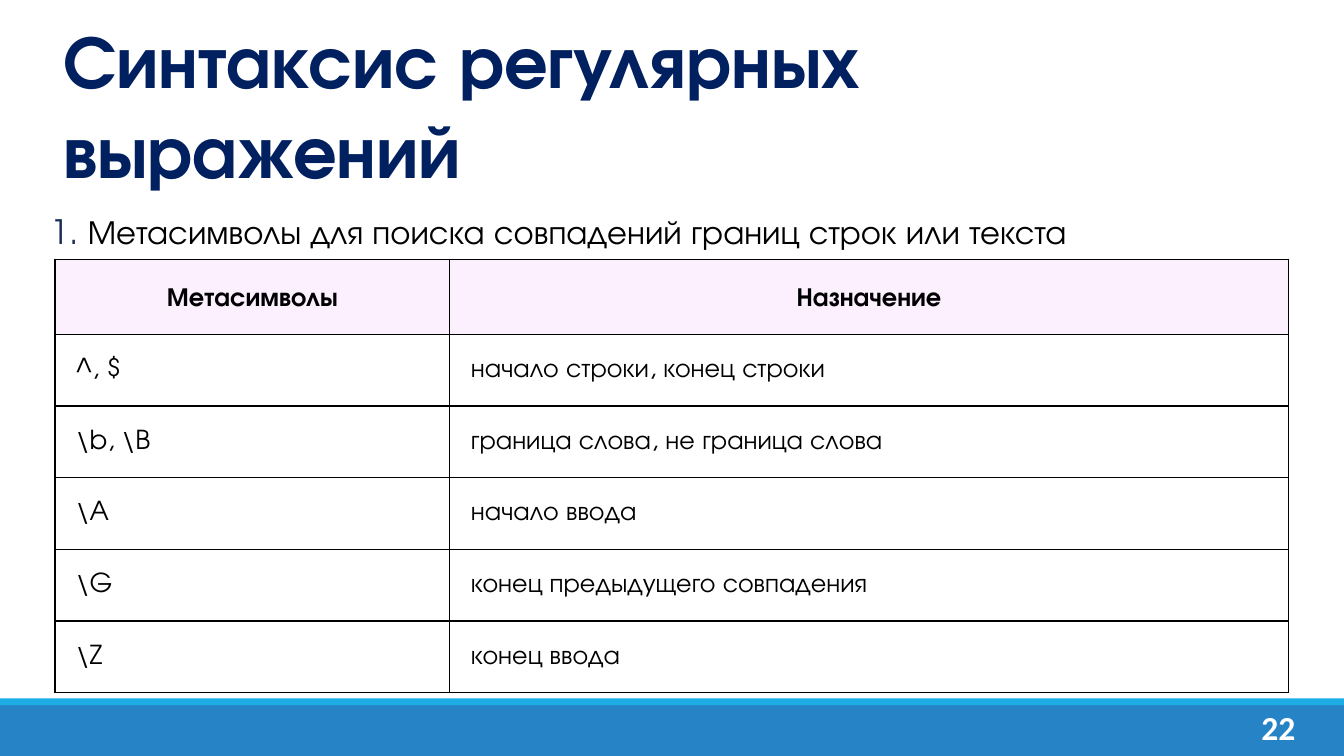
from collections import namedtuple
from dataclasses import dataclass

from lxml.etree import SubElement
from pptx import Presentation
from pptx.dml.color import RGBColor
from pptx.enum.shapes import MSO_SHAPE
from pptx.enum.text import MSO_ANCHOR, MSO_AUTO_SIZE, PP_ALIGN
from pptx.oxml.ns import qn
from pptx.util import Cm, Pt

Box = namedtuple("Box", "left top width height")


@dataclass(frozen=True)
class Theme:
    font: str = "TeX Gyre Adventor"
    number_font: str = "Calibri"
    title: str = "002060"
    marker: str = "172B53"
    text: str = "000000"
    white: str = "FFFFFF"
    header: str = "FCF0FF"
    footer: str = "2683C6"
    stripe: str = "1CADE4"
    title_size: int = 40
    subtitle_size: int = 18
    table_size: int = 14
    border_width: float = 0.75


THEME = Theme()

TITLE = "Синтаксис регулярных выражений"
SUBTITLE = "Метасимволы для поиска совпадений границ строк или текста"
PAGE_NUMBER = "22"
ROWS = [
    ("Метасимволы", "Назначение"),
    ("^, $", "начало строки, конец строки"),
    (r"\b, \B", "граница слова, не граница слова"),
    (r"\A", "начало ввода"),
    (r"\G", "конец предыдущего совпадения"),
    (r"\Z", "конец ввода"),
]


def lengths(box):
    return [Cm(value) for value in box]


def set_attributes(target, values):
    for name, value in values.items():
        setattr(target, name, value)


def add_run(paragraph, text, size, color, bold=False, font=THEME.font):
    run = paragraph.add_run()
    run.text = text
    set_attributes(run.font, {"name": font, "size": Pt(size), "bold": bold})
    run.font.color.rgb = RGBColor.from_string(color)


def add_text_box(slide, box, margin):
    """Add a wrapping text box and return its text frame."""
    frame = slide.shapes.add_textbox(*lengths(box)).text_frame
    set_attributes(frame, {"word_wrap": True, "margin_top": Cm(margin),
                           "margin_bottom": Cm(margin)})
    return frame


def add_bar(slide, box, color):
    bar = slide.shapes.add_shape(MSO_SHAPE.RECTANGLE, *lengths(box))
    bar.shadow.inherit = False
    bar.fill.solid()
    bar.fill.fore_color.rgb = RGBColor.from_string(color)
    bar.line.fill.background()


def add_footer(slide, box):
    stripe_height = 0.13
    add_bar(slide, box._replace(top=box.top + stripe_height,
                                height=box.height - stripe_height), THEME.footer)
    add_bar(slide, box._replace(height=stripe_height), THEME.stripe)
    number_box = Box(box.left + box.width - 1.85, box.top + 0.03, 1.22, 0.76)
    paragraph = add_text_box(slide, number_box, 0.13).paragraphs[0]
    paragraph.alignment = PP_ALIGN.CENTER
    add_run(paragraph, PAGE_NUMBER, THEME.subtitle_size, THEME.white, True,
            THEME.number_font)


def place_title(slide, box):
    title = slide.shapes.title
    set_attributes(title, dict(zip(Box._fields, lengths(box))))
    set_attributes(title.text_frame, {"word_wrap": True,
                                      "auto_size": MSO_AUTO_SIZE.NONE,
                                      "vertical_anchor": MSO_ANCHOR.MIDDLE})
    paragraph = title.text_frame.paragraphs[0]
    paragraph.alignment = PP_ALIGN.LEFT
    add_run(paragraph, TITLE, THEME.title_size, THEME.title, True)


def add_subtitle(slide, box):
    paragraph = add_text_box(slide, box, 0.25).paragraphs[0]
    set_attributes(paragraph, {"line_spacing": 1.15, "space_before": Pt(10)})
    add_run(paragraph, "1. ", THEME.subtitle_size, THEME.marker)
    add_run(paragraph, SUBTITLE, THEME.subtitle_size, THEME.text)


def add_borders(cell):
    properties = cell._tc.get_or_add_tcPr()
    for side in ("a:lnL", "a:lnR", "a:lnT", "a:lnB"):
        line = SubElement(properties, qn(side), w=str(Pt(THEME.border_width)))
        fill = SubElement(line, qn("a:solidFill"))
        SubElement(fill, qn("a:srgbClr"), val=THEME.text)


def format_cell(cell, text, is_header):
    add_borders(cell)
    cell.fill.solid()
    cell.fill.fore_color.rgb = RGBColor.from_string(
        THEME.header if is_header else THEME.white)
    set_attributes(cell, {"vertical_anchor": MSO_ANCHOR.MIDDLE,
                          "margin_left": Cm(0.4), "margin_right": Cm(0.4),
                          "margin_top": Cm(0.38),
                          "margin_bottom": Cm(0.36 if is_header else 0.38)})
    paragraph = cell.text_frame.paragraphs[0]
    if is_header:
        set_attributes(paragraph, {"alignment": PP_ALIGN.CENTER,
                                   "line_spacing": 1.15})
    add_run(paragraph, text, THEME.table_size, THEME.text, is_header)


def add_metacharacter_table(slide, box):
    table = slide.shapes.add_table(len(ROWS), 2, *lengths(box)).table
    first_width = 7.46
    for column, width in zip(table.columns, (first_width, box.width - first_width)):
        column.width = Cm(width)
    header_height = 1.35
    row_height = (box.height - header_height) / (len(ROWS) - 1)
    for index, texts in enumerate(ROWS):
        is_header = index == 0
        table.rows[index].height = Cm(header_height if is_header else row_height)
        for cell, text in zip(table.rows[index].cells, texts):
            format_cell(cell, text, is_header)


def main():
    presentation = Presentation()
    presentation.slide_width = Cm(25.4)
    presentation.slide_height = Cm(14.29)
    slide = presentation.slides.add_slide(presentation.slide_layouts[5])
    add_footer(slide, Box(0, 13.2, 25.4, 1.09))
    add_subtitle(slide, Box(0.71, 3.63, 23.65, 1.27))
    place_title(slide, Box(0.94, 0.28, 22.86, 3.35))
    add_metacharacter_table(slide, Box(1.04, 4.9, 23.31, 7.83))
    presentation.save("out.pptx")


if __name__ == "__main__":
    main()
